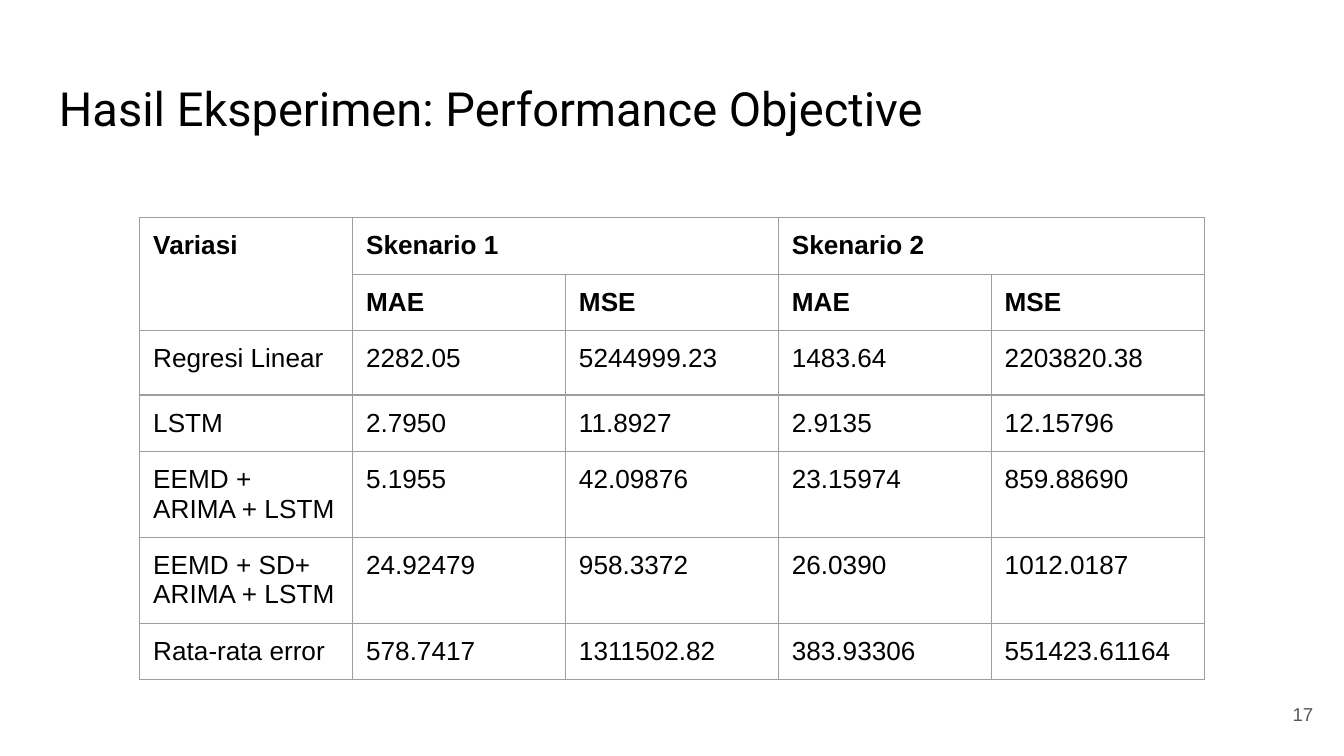
from lxml import etree
from pptx import Presentation
from pptx import util as u
from pptx.dml import color
from pptx.enum import text
from pptx.oxml import ns


def paint(code):
    return color.RGBColor.from_string(code)


class Deck:
    ink = "000000"
    gray = "595959"
    rule = "9E9E9E"
    face = "Arial"
    pad = u.Inches(0.1)

    def __init__(self, wide, high):
        self.file = Presentation()
        self.file.slide_width = u.Inches(wide)
        self.file.slide_height = u.Inches(high)
        self.slide = self.file.slides.add_slide(self.file.slide_layouts[6])

    def style(self, para, size, tint, face=face, bold=False):
        font = para.font
        font.name, font.size, font.bold = face, u.Pt(size), bold
        font.color.rgb = paint(tint)

    def label(self, words, box, size, tint, face=face,
              align=text.PP_ALIGN.LEFT, anchor=text.MSO_ANCHOR.TOP):
        shape = self.slide.shapes.add_textbox(*map(u.Inches, box))
        frame = shape.text_frame
        frame.word_wrap = True
        frame.vertical_anchor = anchor
        frame.margin_left = frame.margin_right = self.pad
        frame.margin_top = frame.margin_bottom = self.pad
        para = frame.paragraphs[0]
        para.text, para.alignment = words, align
        self.style(para, size, tint, face)

    def border(self, cell):
        props = cell._tc.get_or_add_tcPr()
        for place, side in enumerate(("lnL", "lnR", "lnT", "lnB")):
            line = etree.Element(ns.qn(f"a:{side}"), w=str(u.Pt(0.75)))
            fill = etree.SubElement(line, ns.qn("a:solidFill"))
            etree.SubElement(fill, ns.qn("a:srgbClr"), val=self.rule)
            props.insert(place, line)

    def table(self, rows, box, highs, spans, heads):
        count = len(rows[0])
        shape = self.slide.shapes.add_table(
            len(rows), count, *map(u.Inches, box))
        grid = shape.table
        grid.first_row = grid.horz_banding = False
        for col in grid.columns:
            col.width = u.Inches(box[2] / count)
        for r, (row, high) in enumerate(zip(rows, highs)):
            grid.rows[r].height = u.Inches(high)
            for c, words in enumerate(row):
                cell = grid.cell(r, c)
                cell.fill.background()
                cell.margin_left = cell.margin_right = self.pad
                cell.margin_top = self.pad
                cell.margin_bottom = u.Inches(0.05)
                para = cell.text_frame.paragraphs[0]
                para.text = words
                self.style(para, 14, self.ink, bold=r < heads)
                self.border(cell)
        for start, end in spans:
            grid.cell(*start).merge(grid.cell(*end))


def main():
    deck = Deck(10, 10 * 9 / 16)
    deck.label("Hasil Eksperimen: Performance Objective",
               (0.34, 0.49, 9.32, 0.63), 25.2, deck.ink, "Roboto")
    rows = [
        ("Variasi", "Skenario 1", "", "Skenario 2", ""),
        ("", "MAE", "MSE", "MAE", "MSE"),
        ("Regresi Linear", "2282.05", "5244999.23", "1483.64", "2203820.38"),
        ("LSTM", "2.7950", "11.8927", "2.9135", "12.15796"),
        ("EEMD +\vARIMA + LSTM", "5.1955", "42.09876", "23.15974",
         "859.88690"),
        ("EEMD + SD+ ARIMA + LSTM", "24.92479", "958.3372", "26.0390",
         "1012.0187"),
        ("Rata-rata error", "578.7417", "1311502.82", "383.93306",
         "551423.61164"),
    ]
    highs = [0.42, 0.42, 0.48, 0.42, 0.64, 0.64, 0.42]
    spans = [((0, 0), (1, 0)), ((0, 1), (0, 2)), ((0, 3), (0, 4))]
    deck.table(rows, (1.04, 1.62, 7.92, sum(highs)), highs, spans, 2)
    deck.label("17", (9.27, 5.1, 0.6, 0.43), 10, deck.gray,
               align=text.PP_ALIGN.RIGHT, anchor=text.MSO_ANCHOR.MIDDLE)
    deck.file.save("out.pptx")


if __name__ == "__main__":
    main()
